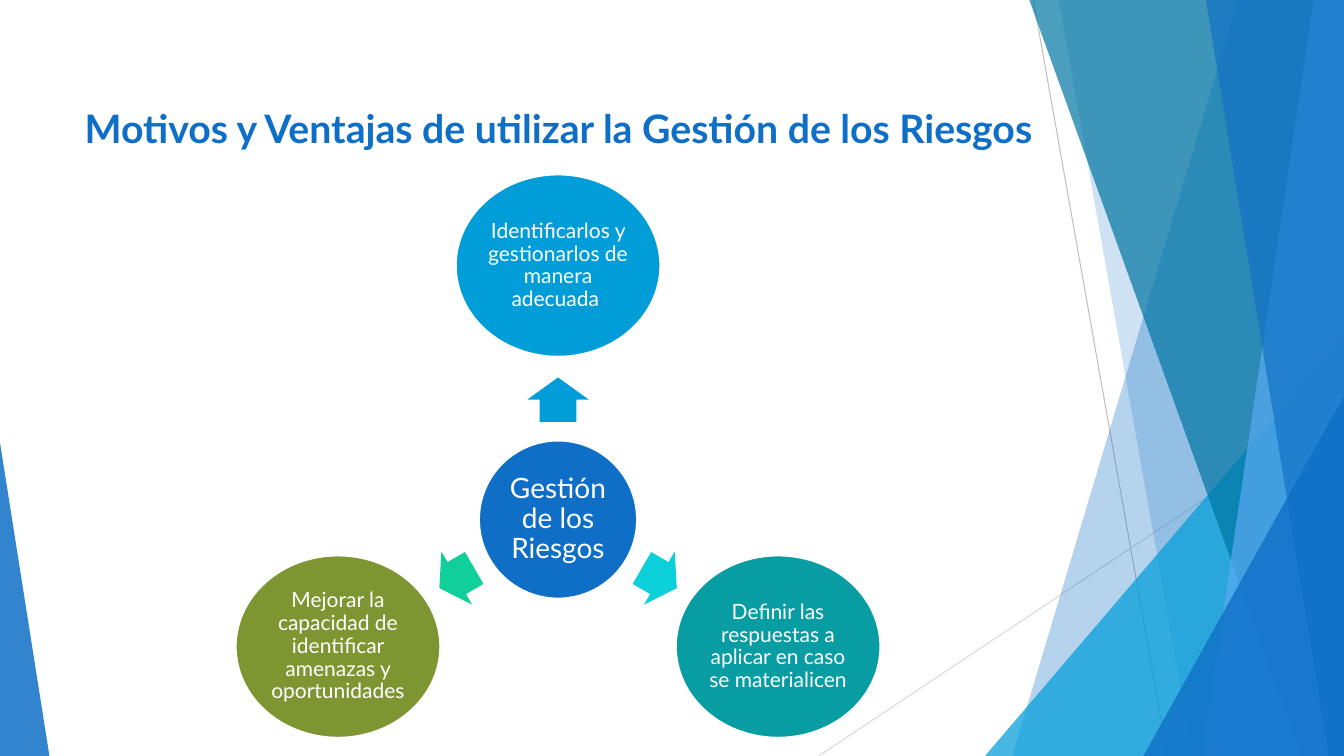
"""Build the slide on the motives and advantages of risk management."""
import math
from dataclasses import dataclass

import lxml.etree
import pptx
import pptx.dml.color
import pptx.enum.shapes
import pptx.enum.text
import pptx.oxml.ns
import pptx.util

SHAPES = pptx.enum.shapes.MSO_SHAPE
ALIGN = pptx.enum.text.PP_ALIGN
ANCHOR = pptx.enum.text.MSO_ANCHOR
WIDTH = pptx.util.Inches(13.33)
HEIGHT = pptx.util.Inches(7.5)


@dataclass(frozen=True)
class Theme:
    """Hold the colours, font and type sizes of the slide."""
    font: str = "Lato"
    title_size: float = 28
    hub_size: float = 20
    reason_size: float = 15
    outline_width: float = 1.5
    hairline_width: float = 0.75
    white: str = "FFFFFF"
    blue: str = "0F6FC6"
    sky: str = "009DD9"
    petrol: str = "0076A3"
    light_blue: str = "59AAF2"
    cyan: str = "0BD0D9"
    teal: str = "089CA3"
    green: str = "10CF9B"
    olive: str = "7E9632"
    grey: str = "BFBFBF"
    light_grey: str = "D9D9D9"


THEME = Theme()


def across(percent):
    """Return a percentage of the slide width."""
    return round(WIDTH * percent / 100)


def down(percent):
    """Return a percentage of the slide height."""
    return round(HEIGHT * percent / 100)


def rgb(colour):
    """Return a colour object for a hexadecimal colour."""
    return pptx.dml.color.RGBColor.from_string(colour)


def paint(shape, colour, opacity=100, outline=None):
    """Fill a shape and give it an outline or none."""
    shape.shadow.inherit = False
    shape.fill.solid()
    shape.fill.fore_color.rgb = rgb(colour)
    if opacity < 100:
        tag = pptx.oxml.ns.qn("a:srgbClr")
        colour_element = next(shape.fill._xPr.iter(tag))
        alpha = lxml.etree.SubElement(colour_element, pptx.oxml.ns.qn("a:alpha"))
        alpha.set("val", str(opacity * 1000))
    if outline:
        shape.line.color.rgb = rgb(outline)
        shape.line.width = pptx.util.Pt(THEME.outline_width)
    else:
        shape.line.fill.background()


def write(shape, text, size, colour, bold=False, align=ALIGN.CENTER,
          anchor=ANCHOR.MIDDLE, inset=None, spacing=None):
    """Put one formatted paragraph of text in a shape."""
    frame = shape.text_frame
    frame.word_wrap = True
    frame.auto_size = pptx.enum.text.MSO_AUTO_SIZE.NONE
    frame.vertical_anchor = anchor
    if inset is not None:
        frame.margin_left = frame.margin_right = pptx.util.Inches(inset)
        frame.margin_top = frame.margin_bottom = pptx.util.Inches(inset)
    frame.text = text
    paragraph = frame.paragraphs[0]
    paragraph.alignment = align
    paragraph.line_spacing = spacing
    font = paragraph.runs[0].font
    font.name, font.size, font.bold = THEME.font, pptx.util.Pt(size), bold
    font.color.rgb = rgb(colour)


def add_hairline(slide, start, end, colour):
    """Draw a thin line between two points in slide percentages."""
    line = slide.shapes.add_connector(
        pptx.enum.shapes.MSO_CONNECTOR.STRAIGHT,
        across(start[0]), down(start[1]), across(end[0]), down(end[1]))
    line.line.color.rgb = rgb(colour)
    line.line.width = pptx.util.Pt(THEME.hairline_width)
    properties = line._element.spPr
    lxml.etree.SubElement(properties, pptx.oxml.ns.qn("a:effectLst"))


def add_panel(slide, top, bottom, colour, opacity):
    """Draw a full-height panel from a slanted left edge to the right side."""
    builder = slide.shapes.build_freeform(across(top), 0)
    builder.add_line_segments([
        (WIDTH, 0), (WIDTH, HEIGHT), (across(bottom), HEIGHT)], close=True)
    paint(builder.convert_to_shape(), colour, opacity)


def add_corner(slide, left, width, height, apex, colour, opacity):
    """Draw a right-angled triangle standing on the bottom edge."""
    shape = slide.shapes.add_shape(
        SHAPES.ISOSCELES_TRIANGLE, across(left), down(100 - height),
        across(width), down(height))
    shape.adjustments[0] = apex
    paint(shape, colour, opacity)


def add_centred(slide, kind, angle, distance, width, height):
    """Place a shape around the hub, in percentages of the slide height."""
    radians = math.radians(angle)
    x = across(41.52) + down(distance * math.cos(radians))
    y = down(68.73) + down(distance * math.sin(radians))
    return slide.shapes.add_shape(
        kind, x - down(width / 2), y - down(height / 2), down(width), down(height))


def add_circle(slide, text, colour, size, width, height, inset,
               angle=0, distance=0):
    """Draw a labelled circle at an angle and distance from the hub."""
    circle = add_centred(slide, SHAPES.OVAL, angle, distance, width, height)
    paint(circle, colour, outline=THEME.white)
    write(circle, text, size, THEME.white, inset=inset, spacing=0.9)


def add_arrow(slide, angle, distance, length, colour):
    """Draw a block arrow pointing outward from the hub."""
    arrow = add_centred(slide, SHAPES.RIGHT_ARROW, angle, distance, length, 8.13)
    arrow.adjustments[0], arrow.adjustments[1] = 0.6, 0.5
    arrow.rotation = angle
    paint(arrow, colour)


def add_background(slide):
    """Draw the lines and translucent panels at the slide edges."""
    add_hairline(slide, (76.89, 0), (86.87, 100), THEME.grey)
    add_hairline(slide, (100, 53.73), (60.92, 100), THEME.light_grey)
    add_panel(slide, 92.12, 75.32, THEME.blue, 30)
    add_panel(slide, 78.77, 88.75, THEME.blue, 20)
    add_corner(slide, 73.29, 26.71, 55.6, 1, THEME.sky, 72)
    add_panel(slide, 76.59, 96.85, THEME.petrol, 70)
    add_panel(slide, 97.75, 89.42, THEME.light_blue, 70)
    add_panel(slide, 89.72, 98.87, THEME.blue, 65)
    add_corner(slide, 85.07, 14.93, 47.6, 1, THEME.blue, 80)
    add_corner(slide, 0, 3.68, 41.47, 0, THEME.blue, 85)


def add_title(slide, text):
    """Place and format the title."""
    title = slide.shapes.title
    title.left, title.top = across(5.55), down(13.07)
    title.width, title.height = across(72), down(10)
    write(title, text, THEME.title_size, THEME.blue, bold=True,
          align=ALIGN.LEFT, anchor=ANCHOR.TOP)


def add_diagram(slide):
    """Draw the hub and the three reasons evenly spaced around it."""
    add_circle(slide, "Gestión de los Riesgos", THEME.blue, THEME.hub_size,
               20.93, 20.93, 0.03)
    reasons = [
        ("Identificarlos y gestionarlos de manera adecuada ",
         THEME.sky, THEME.sky, 15.87, 5.87),
        ("Definir las respuestas a aplicar en caso se materialicen",
         THEME.teal, THEME.cyan, 15.47, 5.33),
        ("Mejorar la capacidad de identificar amenazas y oportunidades",
         THEME.olive, THEME.green, 15.47, 5.33),
    ]
    for index, (text, colour, arrow_colour, distance, length) in enumerate(reasons):
        angle = (270 + index * 360 / len(reasons)) % 360
        add_arrow(slide, angle, distance, length, arrow_colour)
        add_circle(slide, text, colour, THEME.reason_size, 27.07, 24.13, 0.02,
                   angle, 33.6)


def main():
    """Create the presentation and save it."""
    presentation = pptx.Presentation()
    presentation.slide_width, presentation.slide_height = WIDTH, HEIGHT
    slide = presentation.slides.add_slide(presentation.slide_layouts[5])
    add_background(slide)
    add_title(slide, "Motivos y Ventajas de utilizar la Gestión de los Riesgos")
    add_diagram(slide)
    presentation.save("out.pptx")


if __name__ == "__main__":
    main()
